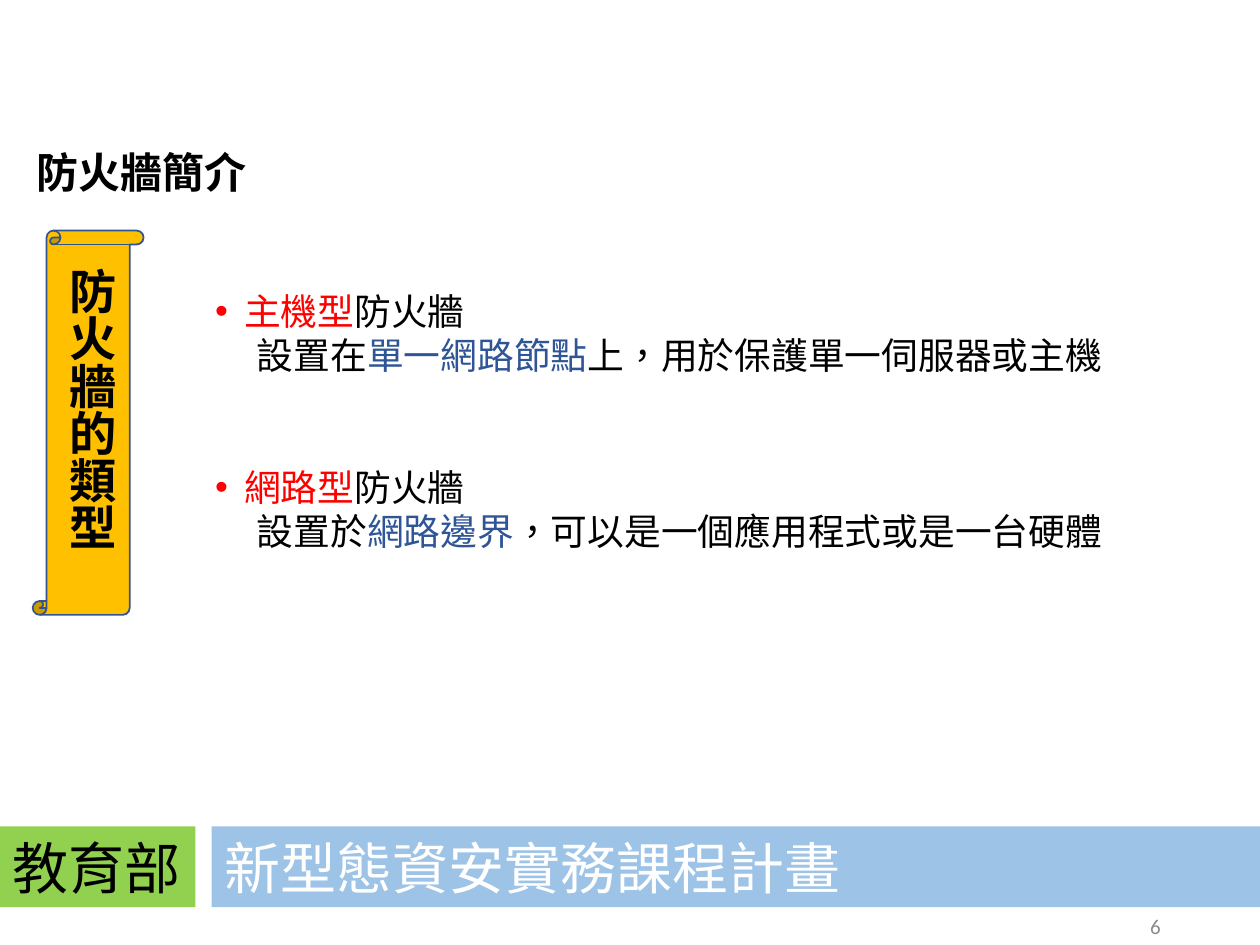
from dataclasses import dataclass

from lxml import etree
from pptx import Presentation
from pptx import util as u
from pptx.dml.color import RGBColor
from pptx.enum import lang, shapes, text
from pptx.oxml.ns import qn


@dataclass(frozen=True)
class Theme:
    cjk: str = "Noto Sans CJK SC"
    banner: str = "Arial"
    number: str = "Calibri"
    black: str = "000000"
    white: str = "FFFFFF"
    red: str = "FF0000"
    blue: str = "2F5597"
    grey: str = "8C8C8C"
    gold: str = "FFC000"
    outline: str = "325491"
    sky: str = "9DC3E6"
    green: str = "92D050"
    title_size: int = 24
    body_size: int = 21
    scroll_size: int = 27
    banner_size: int = 32
    number_size: int = 12
    body_leading: float = 25.2


class SlideBuilder:
    def __init__(self, slide, theme):
        self.slide = slide
        self.theme = theme

    def add_runs(self, paragraph, runs, size, font, bold=False):
        """Fill a paragraph with (wording, colour) runs."""
        paragraph.font.size = u.Pt(size)
        paragraph.font.name = font
        paragraph.font.bold = bold
        for wording, colour in runs:
            run = paragraph.add_run()
            run.text = wording
            run.font.color.rgb = RGBColor.from_string(colour)
            run.font.language_id = lang.MSO_LANGUAGE_ID.TRADITIONAL_CHINESE
            east_asian = etree.SubElement(run.font._element, qn("a:ea"))
            east_asian.set("typeface", self.theme.cjk)

    def place(self, shape, left, top, width, height):
        shape.left, shape.top = u.Inches(left), u.Inches(top)
        shape.width, shape.height = u.Inches(width), u.Inches(height)

    def title(self, wording, *box):
        heading = self.slide.shapes.title
        self.place(heading, *box)
        frame = heading.text_frame
        frame.word_wrap = False
        frame.auto_size = text.MSO_AUTO_SIZE.NONE
        frame.vertical_anchor = text.MSO_ANCHOR.MIDDLE
        line = frame.paragraphs[0]
        line.alignment = text.PP_ALIGN.LEFT
        line.line_spacing = 1.0
        self.add_runs(line, [(wording, self.theme.black)],
                      self.theme.title_size, self.theme.cjk, bold=True)

    def textbox(self, *box):
        frame = self.slide.shapes.add_textbox(*map(u.Inches, box)).text_frame
        frame.word_wrap = True
        return frame

    def shape(self, preset, fill, *box, outline=None):
        shape = self.slide.shapes.add_shape(preset, *map(u.Inches, box))
        shape.shadow.inherit = False
        shape.fill.solid()
        shape.fill.fore_color.rgb = RGBColor.from_string(fill)
        if outline:
            shape.line.color.rgb = RGBColor.from_string(outline)
            shape.line.width = u.Pt(1)
        else:
            shape.line.fill.background()
        return shape

    def banner(self, wording, colour, fill, *box):
        frame = self.shape(shapes.MSO_SHAPE.RECTANGLE, fill, *box).text_frame
        frame.word_wrap = True
        frame.vertical_anchor = text.MSO_ANCHOR.MIDDLE
        line = frame.paragraphs[0]
        line.alignment = text.PP_ALIGN.LEFT
        self.add_runs(line, [(wording, colour)],
                      self.theme.banner_size, self.theme.banner)

    def indent(self, paragraph, left, first=0.0, bullet=None):
        properties = paragraph._p.get_or_add_pPr()
        properties.set("marL", str(u.Inches(left)))
        properties.set("indent", str(u.Inches(first)))
        if bullet:
            etree.SubElement(properties, qn("a:buFont")).set("typeface", "Arial")
            etree.SubElement(properties, qn("a:buChar")).set("char", bullet)

    def definitions(self, entries, *box):
        """Bulleted terms, each with an indented description below."""
        theme = self.theme
        frame = self.textbox(*box)
        for number, (term, description) in enumerate(entries):
            heading = frame.add_paragraph() if number else frame.paragraphs[0]
            detail = frame.add_paragraph()
            self.indent(heading, 0.23, -0.23, "•")
            self.indent(detail, 0.33)
            if number:
                heading.space_before = u.Pt(2 * theme.body_leading)
            for paragraph, runs in ((heading, term), (detail, description)):
                paragraph.line_spacing = u.Pt(theme.body_leading)
                self.add_runs(paragraph, runs, theme.body_size, theme.cjk)

    def scroll(self, wording):
        theme = self.theme
        self.shape(shapes.MSO_SHAPE.VERTICAL_SCROLL, theme.gold,
                   0.26, 1.83, 0.88, 3.05, outline=theme.outline)
        frame = self.textbox(0.34, 2.03, 0.66, 2.64)
        frame._txBody.bodyPr.set("vert", "eaVert")
        self.add_runs(frame.paragraphs[0], [(wording, theme.black)],
                      theme.scroll_size, theme.cjk, bold=True)

    def page_number(self, number, *box):
        frame = self.textbox(*box)
        frame.vertical_anchor = text.MSO_ANCHOR.MIDDLE
        line = frame.paragraphs[0]
        line.alignment = text.PP_ALIGN.RIGHT
        self.add_runs(line, [(number, self.theme.grey)],
                      self.theme.number_size, self.theme.number)


def main():
    deck = Presentation()
    deck.slide_width, deck.slide_height = u.Inches(10), u.Inches(7.5)
    theme = Theme()
    builder = SlideBuilder(deck.slides.add_slide(deck.slide_layouts[5]), theme)

    # Heading
    builder.title("防火牆簡介", 0.19, 1.11, 1.88, 0.5)

    # Firewall types
    firewall = ("防火牆", theme.black)
    firewall_types = [
        ([("主機型", theme.red), firewall],
         [("設置在", theme.black), ("單一網路節點", theme.blue),
          ("上，用於保護單一伺服器或主機", theme.black)]),
        ([("網路型", theme.red), firewall],
         [("設置於", theme.black), ("網路邊界", theme.blue),
          ("，可以是一個應用程式或是一台硬體", theme.black)]),
    ]
    builder.definitions(firewall_types, 1.61, 2.24, 7.72, 2.22)

    # Scroll label
    builder.scroll("防火牆的類型")

    # Footer banners and page number
    builder.banner("新型態資安實務課程計畫", theme.white, theme.sky,
                   1.68, 6.56, 8.32, 0.64)
    builder.banner("教育部", theme.black, theme.green, 0, 6.56, 1.55, 0.64)
    builder.page_number("6", 7.06, 7.15, 2.25, 0.4)

    deck.save("out.pptx")


if __name__ == "__main__":
    main()
